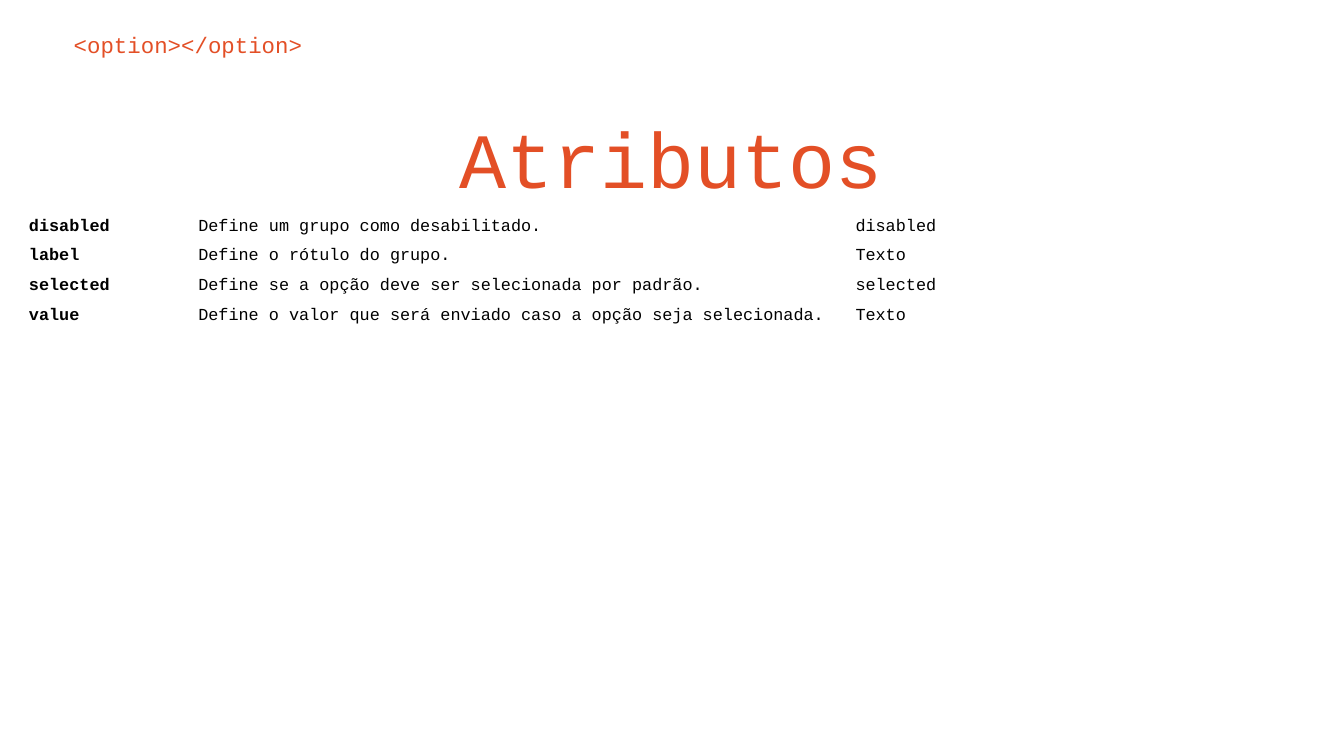
from pptx import Presentation
from pptx.dml.color import RGBColor
from pptx.enum.text import PP_ALIGN as Align
from pptx.util import Inches, Pt

FONT = "Courier New"
ORANGE, BLACK = "E34F26", "000000"

# text, (left, top, width, height), size, alignment
HEADINGS = [
    ("<option></option>", (0.45, 0.13, 9.18, 0.42), 12, Align.LEFT),
    ("Atributos", (0.71, 0.72, 8.57, 0.86), 42, Align.CENTER),
]
ATTRIBUTES = [
    ("disabled", "Define um grupo como desabilitado.", "disabled"),
    ("label", "Define o rótulo do grupo.", "Texto"),
    ("selected", "Define se a opção deve ser selecionada por padrão.", "selected"),
    ("value", "Define o valor que será enviado caso a opção seja selecionada.", "Texto"),
]
COLUMN_WIDTHS = (1.26, 4.89, 3.37)
ROW_HEIGHT = 0.2


def rgb(code):
    """Turn a hex string into a colour."""
    return RGBColor.from_string(code)


def set_margins(holder, inset):
    """Give a text frame or cell the same margin on every side."""
    for side in ("left", "top", "right", "bottom"):
        setattr(holder, f"margin_{side}", inset)


def write(frame, text, size, color, bold=False):
    """Write one styled paragraph and return it."""
    paragraph = frame.paragraphs[0]
    paragraph.text = text
    font = paragraph.font
    font.name, font.size, font.bold = FONT, Pt(size), bold
    font.color.rgb = rgb(color)
    return paragraph


def add_heading(slide, text, box, size, alignment):
    """Add an orange heading."""
    frame = slide.shapes.add_textbox(*map(Inches, box)).text_frame
    frame.word_wrap = True
    set_margins(frame, Inches(0.1))
    write(frame, text, size, ORANGE).alignment = alignment


def add_attributes(slide):
    """Add the plain table of attributes."""
    table = slide.shapes.add_table(
        len(ATTRIBUTES), len(COLUMN_WIDTHS), Inches(0.18), Inches(1.58),
        Inches(sum(COLUMN_WIDTHS)), Inches(ROW_HEIGHT * len(ATTRIBUTES))).table
    table.first_row = table.horz_banding = False
    # "No Style, No Grid" table style
    table._tbl.tblPr[0].text = "{2D5ABB26-0587-4C30-8999-92F81FD0307C}"
    for column, width in zip(table.columns, COLUMN_WIDTHS):
        column.width = Inches(width)
    for r, attribute in enumerate(ATTRIBUTES):
        for c, text in enumerate(attribute):
            cell = table.cell(r, c)
            cell.fill.background()
            set_margins(cell, Pt(2.6))
            write(cell.text_frame, text, 9, BLACK, bold=c == 0)


presentation = Presentation()
presentation.slide_width = Inches(10)
presentation.slide_height = presentation.slide_width * 9 // 16
slide = presentation.slides.add_slide(presentation.slide_layouts[6])
for heading in HEADINGS:
    add_heading(slide, *heading)
add_attributes(slide)
presentation.save("out.pptx")
